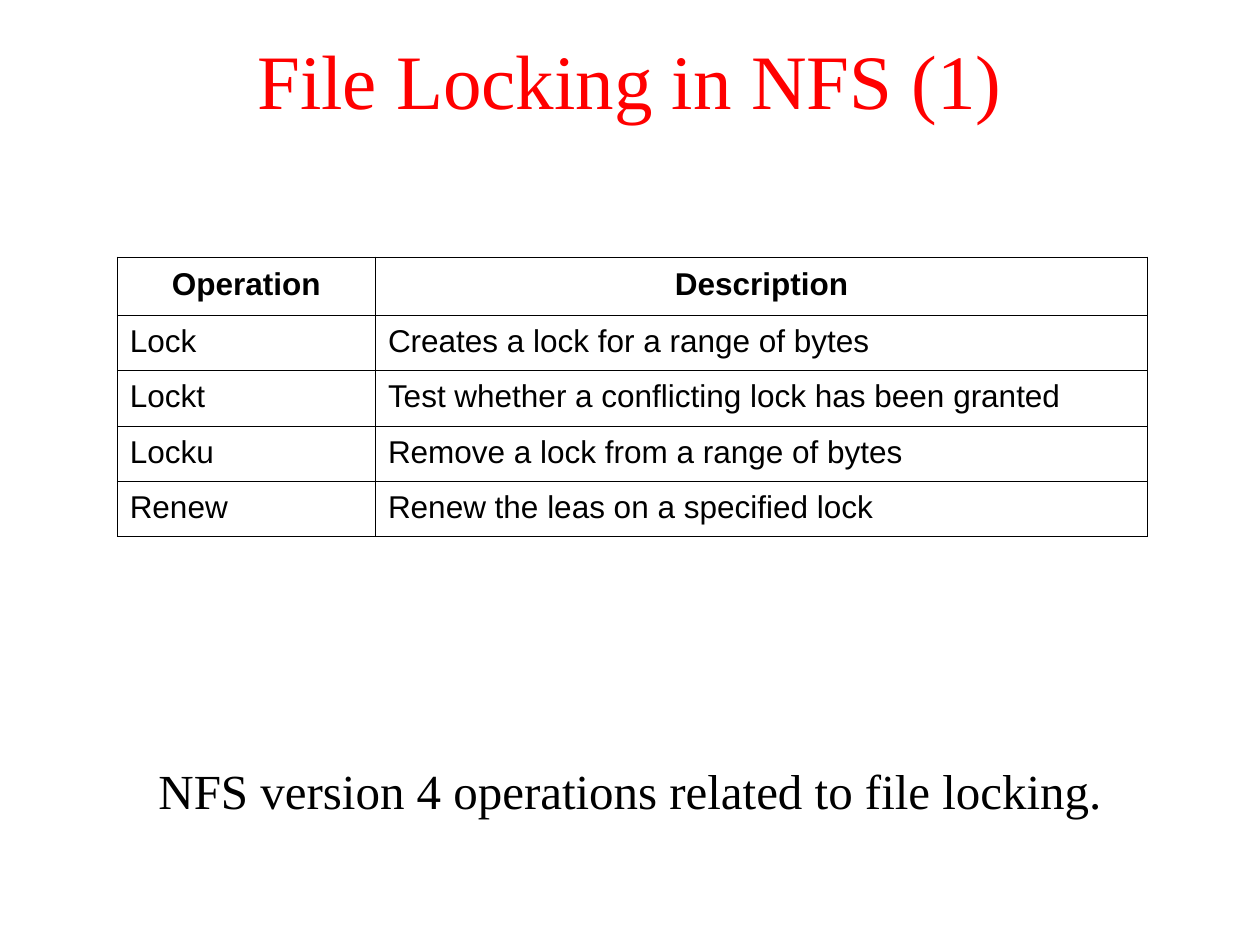
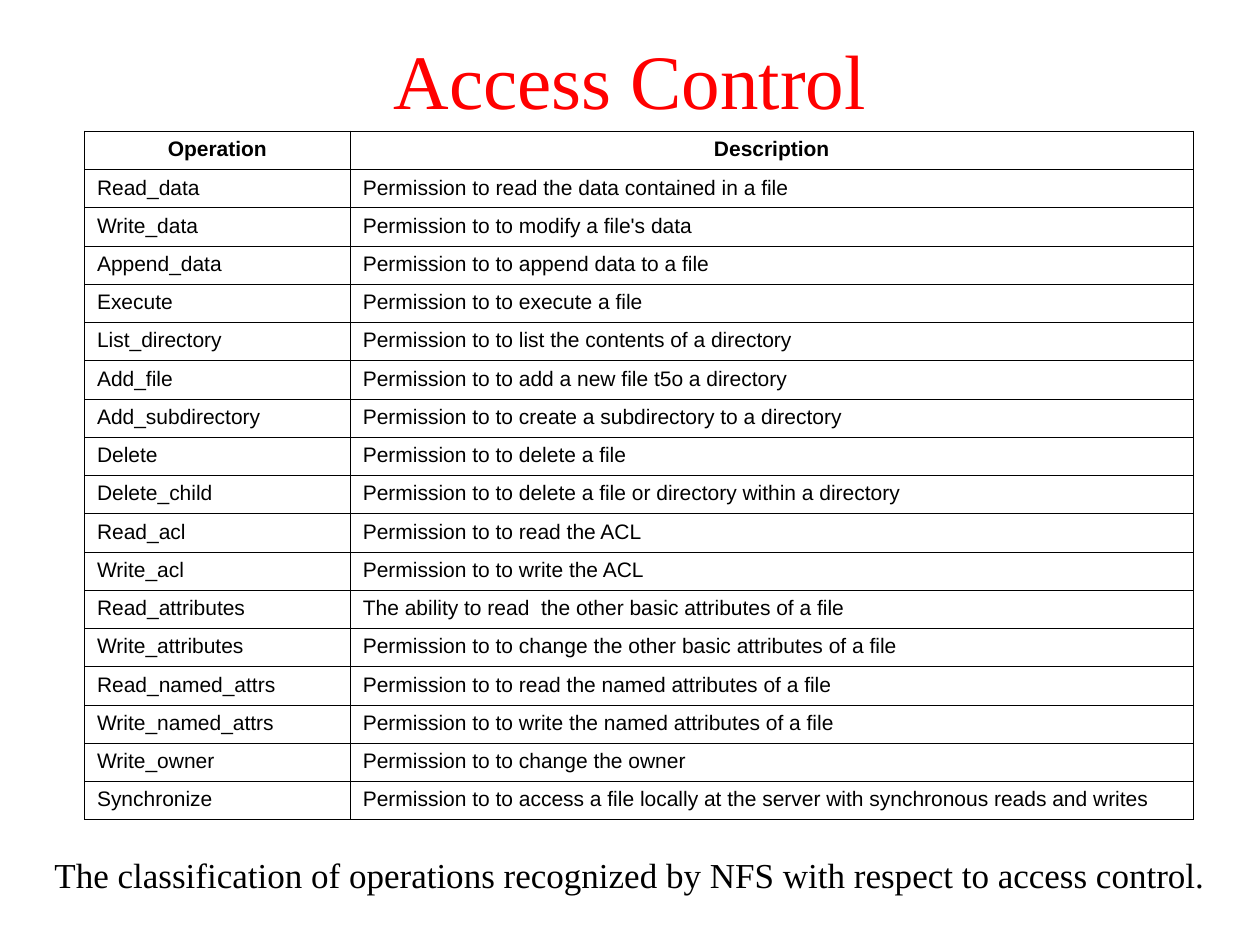
from lxml.etree import SubElement
from pptx import Presentation
from pptx.dml.color import RGBColor
from pptx.enum.text import MSO_ANCHOR, MSO_AUTO_SIZE, PP_ALIGN
from pptx.oxml.ns import qn
from pptx.util import Inches, Pt

RED = RGBColor(0xFF, 0x00, 0x00)
BLACK = RGBColor(0x00, 0x00, 0x00)
SERIF = "Times New Roman"
SANS = "Arial"
SLIDE_WIDTH, SLIDE_HEIGHT = 10, 7.5
OUTER_LINE, INNER_LINE = 0.51, 0.23
TITLE_ONLY = 5

HEADER = ("Operation", "Description")

LOCK_OPERATIONS = [
    ("Lock", "Creates a lock for a range of bytes"),
    ("Lockt", "Test whether a conflicting lock has been granted"),
    ("Locku", "Remove a lock from a range of bytes"),
    ("Renew", "Renew the leas on a specified lock"),
]

ACCESS_OPERATIONS = [
    ("Read_data", "Permission to read the data contained in a file"),
    ("Write_data", "Permission to to modify a file's data"),
    ("Append_data", "Permission to to append data to a file"),
    ("Execute", "Permission to to execute a file"),
    ("List_directory", "Permission to to list the contents of a directory"),
    ("Add_file", "Permission to to add a new file t5o a directory"),
    ("Add_subdirectory", "Permission to to create a subdirectory to a directory"),
    ("Delete", "Permission to to delete a file"),
    ("Delete_child", "Permission to to delete a file or directory within a directory"),
    ("Read_acl", "Permission to to read the ACL"),
    ("Write_acl", "Permission to to write the ACL"),
    ("Read_attributes", "The ability to read  the other basic attributes of a file"),
    ("Write_attributes", "Permission to to change the other basic attributes of a file"),
    ("Read_named_attrs", "Permission to to read the named attributes of a file"),
    ("Write_named_attrs", "Permission to to write the named attributes of a file"),
    ("Write_owner", "Permission to to change the owner"),
    ("Synchronize", "Permission to to access a file locally at the server "
                    "with synchronous reads and writes"),
]


def apply(target, values):
    for name, value in values.items():
        setattr(target, name, value)


class Lecture:
    """Holds the shared style and the slide being built."""

    def __init__(self):
        self.deck = Presentation()
        apply(self.deck, {"slide_width": Inches(SLIDE_WIDTH),
                          "slide_height": Inches(SLIDE_HEIGHT)})
        self.page = None

    def add_text(self, frame, text, font, size, color=BLACK, bold=False,
                 align=PP_ALIGN.CENTER, spacing=1.0, before=0):
        para = frame.paragraphs[0]
        apply(para, {"alignment": align, "line_spacing": spacing,
                     "space_before": Pt(before)})
        span = para.add_run()
        span.text = text
        apply(span.font, {"name": font, "size": Pt(size), "bold": bold})
        span.font.color.rgb = color

    def add_page(self, title):
        self.page = self.deck.slides.add_slide(self.deck.slide_layouts[TITLE_ONLY])
        box = self.page.shapes.title
        apply(box, {"left": 0, "top": 0, "width": Inches(SLIDE_WIDTH),
                    "height": Inches(1.25)})
        apply(box.text_frame, {"vertical_anchor": MSO_ANCHOR.MIDDLE,
                               "auto_size": MSO_AUTO_SIZE.NONE, "word_wrap": True})
        self.add_text(box.text_frame, title, SERIF, 44, RED)

    def add_caption(self, text, top, height, size, **spacing):
        box = self.page.shapes.add_textbox(0, Inches(top), Inches(SLIDE_WIDTH),
                                           Inches(height))
        apply(box.text_frame, {"word_wrap": True, "auto_size": MSO_AUTO_SIZE.NONE})
        self.add_text(box.text_frame, text, SERIF, size, **spacing)

    def add_borders(self, cell, outer_sides):
        properties = cell._tc.get_or_add_tcPr()
        for side in "LRTB":
            width = OUTER_LINE if side in outer_sides else INNER_LINE
            line = SubElement(properties, qn(f"a:ln{side}"), w=str(Pt(width)))
            fill = SubElement(line, qn("a:solidFill"))
            SubElement(fill, qn("a:srgbClr"), val=str(BLACK))

    def add_table(self, records, left, top, widths, heights, size):
        rows = [HEADER, *records]
        last = len(rows) - 1
        header_height, row_height = heights
        total = header_height + row_height * last
        table = self.page.shapes.add_table(
            len(rows), len(widths), Inches(left), Inches(top),
            Inches(sum(widths)), Inches(total)).table
        apply(table, {"first_row": False, "horz_banding": False})
        for column, width in zip(table.columns, widths):
            column.width = Inches(width)
        for index, texts in enumerate(rows):
            is_header = index == 0
            table.rows[index].height = Inches(header_height if is_header else row_height)
            # The frame around the table is heavier than the lines within it
            edge = {0: "T", last: "B"}.get(index, "")
            for cell, text, side in zip(table.rows[index].cells, texts, "LR"):
                self.add_borders(cell, edge + side)
                cell.fill.background()
                cell.vertical_anchor = MSO_ANCHOR.MIDDLE
                self.add_text(cell.text_frame, text, SANS, size, bold=is_header,
                              align=PP_ALIGN.CENTER if is_header else PP_ALIGN.LEFT,
                              spacing=0.93, before=size / 4)


lecture = Lecture()

# File locking
lecture.add_page("File Locking in NFS (1)")
lecture.add_caption("NFS version 4 operations related to file locking.",
                    top=5.99, height=0.92, size=28, before=7)
lecture.add_table(LOCK_OPERATIONS, left=0.93, top=2.04, widths=(2.05, 6.13),
                  heights=(0.46, 0.44), size=18)

# Access control
lecture.add_page("Access Control")
lecture.add_caption("The classification of operations recognized by NFS "
                    "with respect to access control.",
                    top=6.76, height=0.41, size=20, spacing=0.9, before=5)
lecture.add_table(ACCESS_OPERATIONS, left=0.67, top=1.04, widths=(2.11, 6.69),
                  heights=(5.47 / 18, 5.47 / 18), size=12)

lecture.deck.save("out.pptx")
